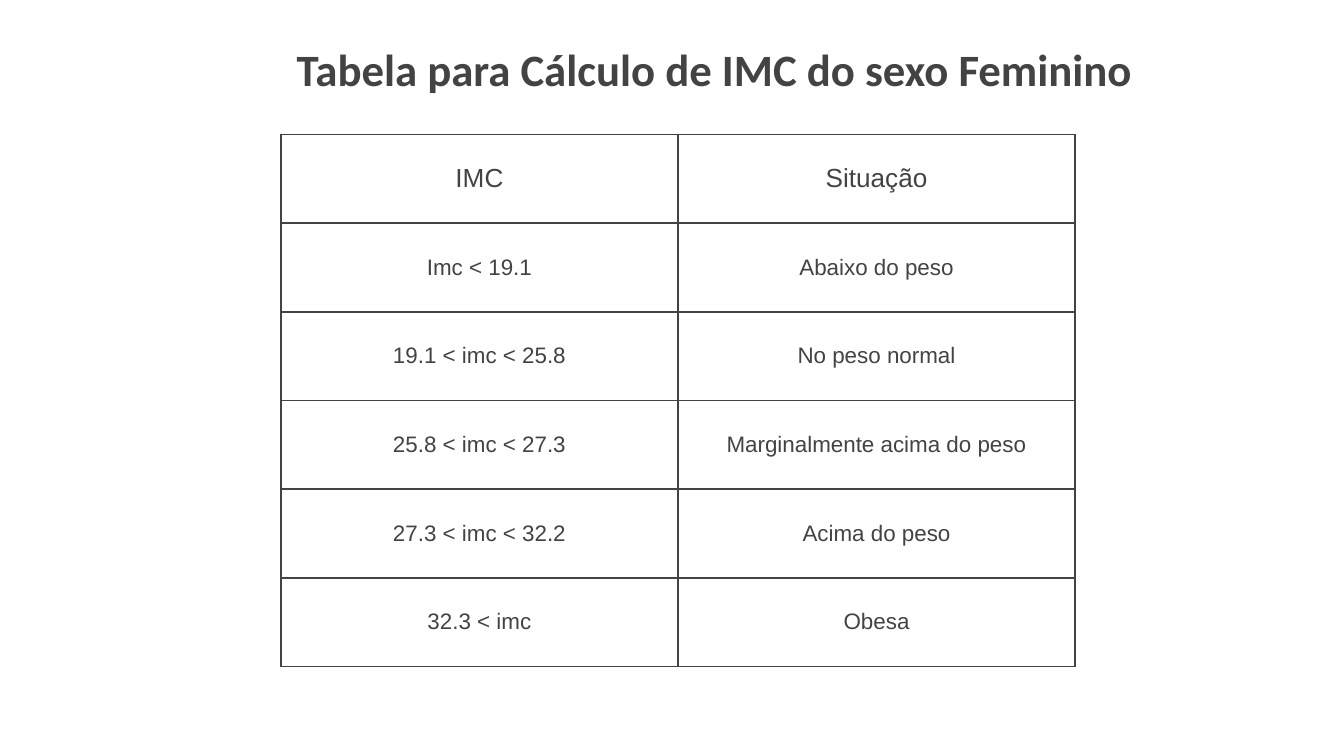
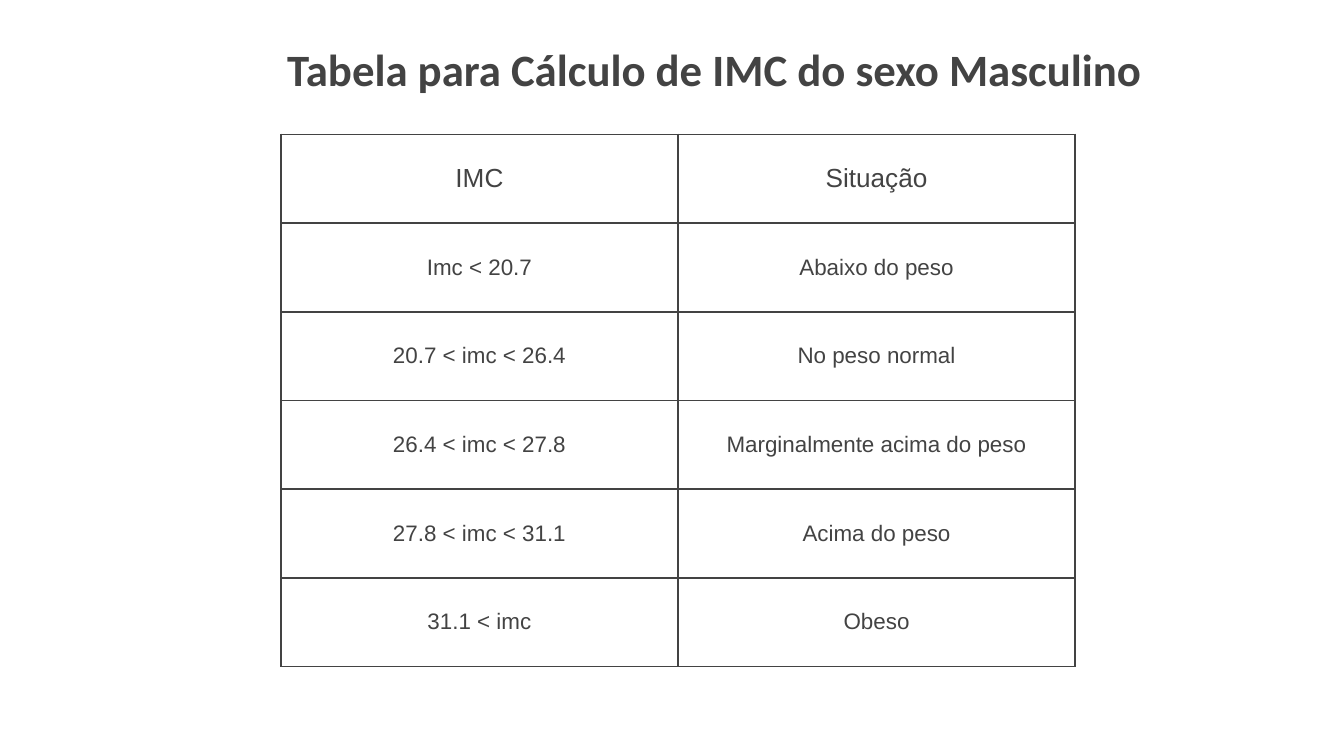
from lxml.etree import SubElement
from pptx import Presentation
from pptx.dml.color import RGBColor
from pptx.enum.text import MSO_ANCHOR as Anchor, MSO_AUTO_SIZE as AutoSize, PP_ALIGN as Align
from pptx.oxml.ns import qn
from pptx.util import Pt

PX = 4572
INK = RGBColor(0x43, 0x43, 0x43)
WHITE = RGBColor(0xFF, 0xFF, 0xFF)
INSET = 20
COLUMN_WIDTH, ROW_HEIGHT = 591, 132
HEADER = ("IMC", "Situação")
STATUSES = ("Abaixo do peso", "No peso normal", "Marginalmente acima do peso", "Acima do peso")
PAGES = (
    ("Feminino", "Obesa",
     ("Imc < 19.1", "19.1 < imc < 25.8", "25.8 < imc < 27.3", "27.3 < imc < 32.2", "32.3 < imc")),
    ("Masculino", "Obeso",
     ("Imc < 20.7", "20.7 < imc < 26.4", "26.4 < imc < 27.8", "27.8 < imc < 31.1", "31.1 < imc")),
)


def px(length):
    """Turn whole pixels into EMU."""
    return length * PX


def set_margins(target):
    """Give a cell or text frame the shared inner margins."""
    for side in ("left", "top", "right", "bottom"):
        setattr(target, f"margin_{side}", px(INSET))


def style_text(frame, font_name, size, bold=False):
    """Centre the text of a frame and format its runs."""
    for para in frame.paragraphs:
        para.alignment = Align.CENTER
        for span in para.runs:
            span.font.name = font_name
            span.font.size = Pt(size)
            span.font.bold = bold
            span.font.color.rgb = INK


def add_title(page, text):
    """Place and format the title placeholder."""
    title = page.shapes.title
    title.left, title.top, title.width, title.height = map(px, (260, 42, 1606, 158))
    frame = title.text_frame
    frame.text = text
    frame.word_wrap = True
    frame.auto_size = AutoSize.NONE
    frame.vertical_anchor = Anchor.TOP
    set_margins(frame)
    style_text(frame, "Calibri", 24, bold=True)


def add_borders(cell):
    """Draw a thin line on all four sides of a cell."""
    properties = cell._tc.get_or_add_tcPr()
    for side in ("lnL", "lnR", "lnT", "lnB"):
        line = SubElement(properties, qn(f"a:{side}"), w=str(Pt(1)))
        fill = SubElement(line, qn("a:solidFill"))
        SubElement(fill, qn("a:srgbClr"), val=str(INK))


def style_cell(cell, text, size):
    """Write and format one table cell."""
    cell.text_frame.text = text
    cell.vertical_anchor = Anchor.MIDDLE
    set_margins(cell)
    add_borders(cell)
    cell.fill.background()
    style_text(cell.text_frame, "Arial", size)


def add_imc_table(page, rows):
    """Add the table of IMC ranges and their statuses."""
    width, height = COLUMN_WIDTH * len(HEADER), ROW_HEIGHT * len(rows)
    table = page.shapes.add_table(
        len(rows), len(HEADER), px(418), px(200), px(width), px(height)).table
    table.first_row = False
    table.horz_banding = False
    for row_index, row in enumerate(rows):
        for column_index, text in enumerate(row):
            style_cell(table.cell(row_index, column_index), text, 12 if row_index else 14)


def add_page(deck, sex, obese, ranges):
    """Build the slide for one sex."""
    page = deck.slides.add_slide(deck.slide_layouts[0])
    page.background.fill.solid()
    page.background.fill.fore_color.rgb = WHITE
    subtitle = page.placeholders[1].element
    subtitle.getparent().remove(subtitle)
    add_title(page, f"Tabela para Cálculo de IMC do sexo {sex}")
    add_imc_table(page, [HEADER, *zip(ranges, (*STATUSES, obese))])


def main():
    """Build and save the deck."""
    deck = Presentation()
    deck.slide_width, deck.slide_height = px(2000), px(1125)
    for sex, obese, ranges in PAGES:
        add_page(deck, sex, obese, ranges)
    deck.save("out.pptx")


if __name__ == "__main__":
    main()
